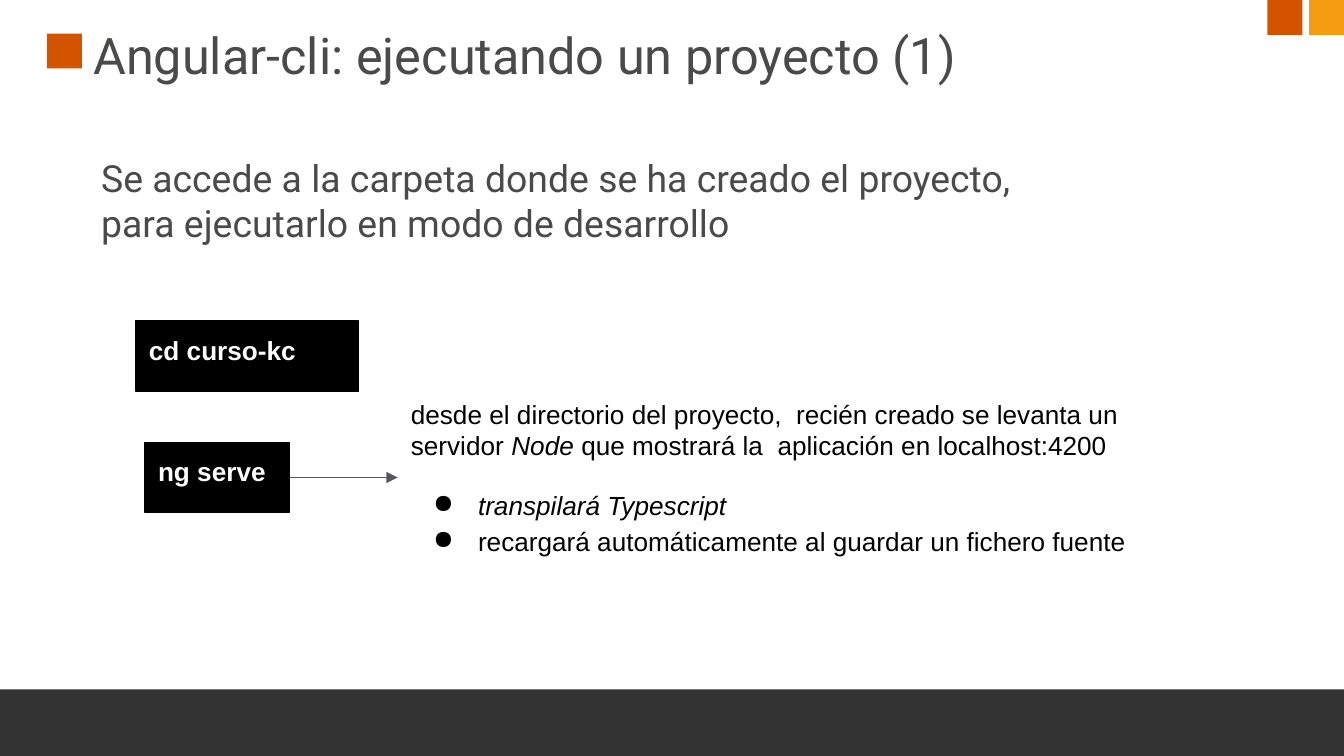
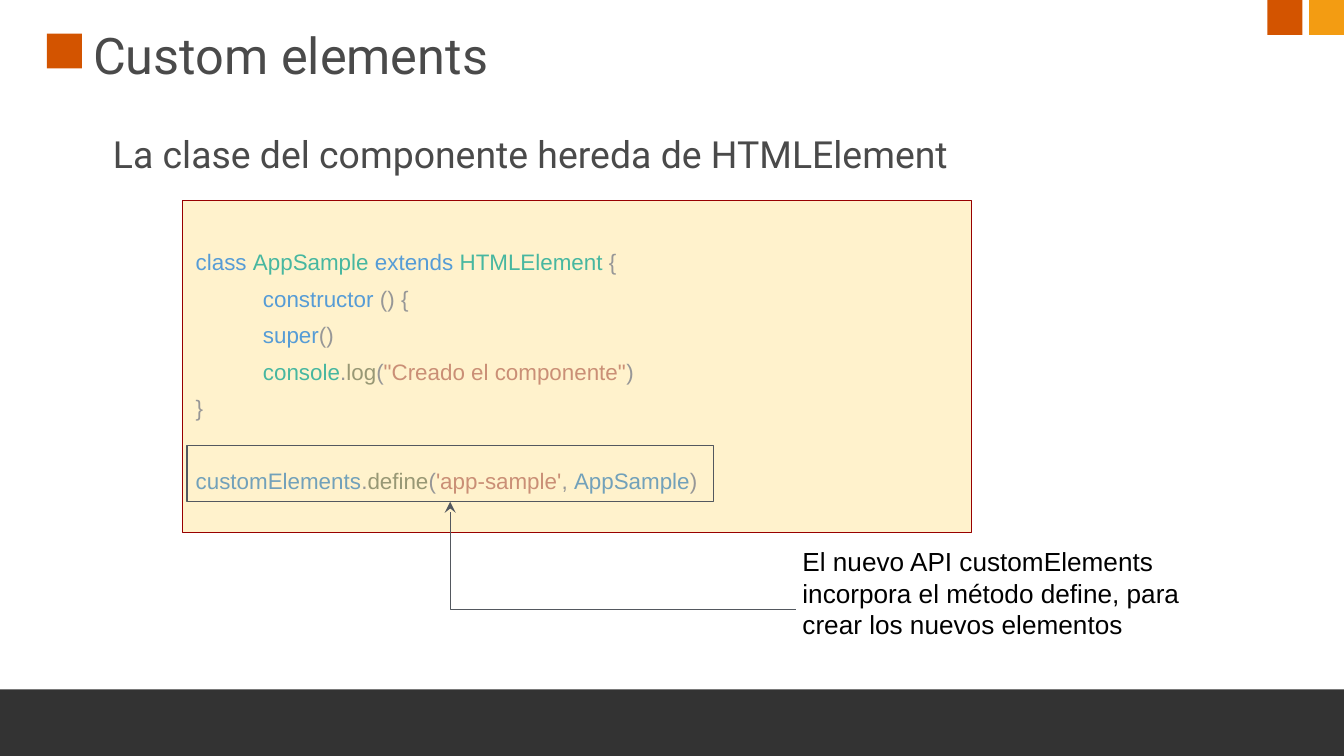
import dataclasses

import lxml.etree
import pptx
import pptx.dml.color
import pptx.enum.shapes
import pptx.enum.text
import pptx.oxml.ns
import pptx.util

Pt = pptx.util.Pt
ANCHOR = pptx.enum.text.MSO_ANCHOR
CONNECTOR = pptx.enum.shapes.MSO_CONNECTOR


@dataclasses.dataclass(frozen=True)
class Theme:
    width: float = 720
    height: float = 405
    heading_font: str = "Roboto"
    text_font: str = "Arial"
    title_size: float = 27
    lead_size: float = 20
    text_size: float = 14
    code_size: float = 12
    line_width: float = 0.75
    heading_inset: float = 4.5
    text_inset: float = 7.2
    square: float = 18.7
    footer_top: float = 369.4
    heading: str = "4A4A4A"
    orange: str = "D35400"
    amber: str = "F39C12"
    footer: str = "333333"
    black: str = "000000"
    white: str = "FFFFFF"
    outline: str = "53585F"
    code_fill: str = "FFF2CC"
    code_border: str = "980000"
    keyword: str = "569CD6"
    type_name: str = "47B7A0"
    symbol: str = "979797"
    method: str = "989875"
    string: str = "CA8F76"
    variable: str = "72A1BA"


THEME = Theme()


def color(value):
    return pptx.dml.color.RGBColor.from_string(value)


def add_xml(parent, tag, **attributes):
    return lxml.etree.SubElement(parent, pptx.oxml.ns.qn(tag), attributes)


def place(shape, left, top, width, height):
    shape.left, shape.top = Pt(left), Pt(top)
    shape.width, shape.height = Pt(width), Pt(height)


def prepare_frame(shape, inset, anchor=ANCHOR.TOP):
    frame = shape.text_frame
    frame.word_wrap = True
    frame.auto_size = pptx.enum.text.MSO_AUTO_SIZE.NONE
    frame.vertical_anchor = anchor
    frame.margin_left = frame.margin_right = Pt(inset)
    frame.margin_top = frame.margin_bottom = Pt(inset)
    return frame


def add_run(paragraph, text, size, value, font=THEME.text_font, bold=False, italic=False):
    run = paragraph.add_run()
    run.text = text
    run.font.name = font
    run.font.size = Pt(size)
    run.font.bold = bold
    run.font.italic = italic
    run.font.color.rgb = color(value)


def start_paragraph(frame, first=False, spacing=None, before=None, margin=0, indent=0):
    paragraph = frame.paragraphs[0] if first else frame.add_paragraph()
    paragraph.alignment = pptx.enum.text.PP_ALIGN.LEFT
    if spacing:
        paragraph.line_spacing = spacing
    if before:
        paragraph.space_before = Pt(before)
    properties = paragraph._p.get_or_add_pPr()
    properties.set("marL", str(Pt(margin)))
    properties.set("indent", str(Pt(indent)))
    return paragraph


def add_bullet(paragraph):
    properties = paragraph._p.get_or_add_pPr()
    add_xml(add_xml(properties, "a:buClr"), "a:srgbClr", val=THEME.black)
    add_xml(properties, "a:buChar", char="●")


def add_box(slide, left, top, width, height, fill=None, line=None):
    shape = slide.shapes.add_shape(
        pptx.enum.shapes.MSO_SHAPE.RECTANGLE, Pt(left), Pt(top), Pt(width), Pt(height))
    shape.shadow.inherit = False
    if fill:
        shape.fill.solid()
        shape.fill.fore_color.rgb = color(fill)
    else:
        shape.fill.background()
    if line:
        shape.line.color.rgb = color(line)
        shape.line.width = Pt(THEME.line_width)
    else:
        shape.line.fill.background()
    return shape


def add_text_box(slide, left, top, width, height):
    return slide.shapes.add_textbox(Pt(left), Pt(top), Pt(width), Pt(height))


def add_arrow(slide, kind, begin, end, head):
    connector = slide.shapes.add_connector(kind, *map(Pt, begin + end))
    connector.line.color.rgb = color(THEME.outline)
    connector.line.width = Pt(THEME.line_width)
    properties = connector.element.spPr
    add_xml(properties.find(pptx.oxml.ns.qn("a:ln")), "a:tailEnd", type=head)
    add_xml(properties, "a:effectLst")
    return connector


def add_corner_arrow(slide, left, top, right, bottom):
    connector = add_arrow(slide, CONNECTOR.ELBOW, (left, top), (right, bottom), "stealth")
    properties = connector.element.spPr
    properties.find(pptx.oxml.ns.qn("a:prstGeom")).set("prst", "bentConnector2")
    properties.find(pptx.oxml.ns.qn("a:xfrm")).set("rot", str(180 * 60000))


def add_slide(presentation, title):
    slide = presentation.slides.add_slide(presentation.slide_layouts[5])
    square = THEME.square
    add_box(slide, 25.2, 18, square, square, THEME.orange)
    add_box(slide, 0, THEME.footer_top, THEME.width, THEME.height - THEME.footer_top, THEME.footer)
    add_box(slide, 679, 0, square, square, THEME.orange)
    add_box(slide, THEME.width - square, 0, square, square, THEME.amber)
    place(slide.shapes.title, 45.4, 8.6, 662, 42.5)
    frame = prepare_frame(slide.shapes.title, THEME.heading_inset)
    add_run(start_paragraph(frame, first=True), title,
            THEME.title_size, THEME.heading, THEME.heading_font)
    return slide


def add_lead(slide, text, left, top, width, height):
    frame = prepare_frame(add_text_box(slide, left, top, width, height), THEME.heading_inset)
    add_run(start_paragraph(frame, first=True), text,
            THEME.lead_size, THEME.heading, THEME.heading_font)


def add_command(slide, text, left, top, width):
    shape = add_box(slide, left, top, width, 37.6, THEME.black, THEME.black)
    frame = prepare_frame(shape, THEME.text_inset)
    add_run(start_paragraph(frame, first=True), text,
            THEME.text_size, THEME.white, bold=True)
    return shape


def add_code(slide, lines, left, top, width, height):
    shape = add_box(slide, left, top, width, height, THEME.code_fill, THEME.code_border)
    frame = prepare_frame(shape, THEME.text_inset, ANCHOR.MIDDLE)
    for index, (margin, before, tokens) in enumerate(lines):
        paragraph = start_paragraph(frame, index == 0, 1.36, before, margin)
        for text, value in tokens:
            add_run(paragraph, text, THEME.code_size, value)


def build_serve_slide(presentation):
    slide = add_slide(presentation, "Angular-cli: ejecutando un proyecto (1)")
    add_lead(slide, "Se accede a la carpeta donde se ha creado el proyecto, "
             "para ejecutarlo en modo de desarrollo", 49.7, 78.5, 502, 66)
    add_command(slide, "cd curso-kc", 72.7, 172, 119.5)
    serve = add_command(slide, "ng serve", 77.6, 237, 77.6)

    explanation = add_text_box(slide, 213, 199.6, 417, 112.4)
    frame = prepare_frame(explanation, THEME.text_inset, ANCHOR.MIDDLE)
    paragraph = start_paragraph(frame, first=True)
    for text, italic in (
        ("desde el directorio del proyecto,  recién creado se levanta un servidor ", False),
        ("Node ", True),
        ("que mostrará la  aplicación en localhost:4200", False),
    ):
        add_run(paragraph, text, THEME.text_size, THEME.black, italic=italic)
    for text, italic, before in (
        ("transpilará Typescript", True, 12.7),
        ("recargará automáticamente al guardar un fichero fuente", False, None),
    ):
        paragraph = start_paragraph(frame, spacing=1.15, before=before, margin=36, indent=-24)
        add_bullet(paragraph)
        add_run(paragraph, text, THEME.text_size, THEME.black, italic=italic)

    arrow = add_arrow(slide, CONNECTOR.STRAIGHT, (155.2, 255.8), (213, 255.8), "triangle")
    arrow.begin_connect(serve, 3)
    arrow.end_connect(explanation, 1)


def build_elements_slide(presentation):
    slide = add_slide(presentation, "Custom elements")
    add_lead(slide, "La clase del componente hereda de HTMLElement", 56, 65.5, 507, 34.5)
    keyword, type_name, symbol = THEME.keyword, THEME.type_name, THEME.symbol
    method, string, variable = THEME.method, THEME.string, THEME.variable
    lines = (
        (0, None, (("class ", keyword), ("AppSample ", type_name), ("extends ", keyword),
                   ("HTMLElement", type_name), (" {", symbol))),
        (36, None, (("constructor", keyword), (" () {", symbol))),
        (36, None, (("super", keyword), ("()", symbol))),
        (36, None, (("console", type_name), (".", symbol), ("log", method), ("(", symbol),
                    ('"Creado el componente"', string), (")", symbol))),
        (0, None, (("}", symbol),)),
        (0, 19.4, (("customElements", variable), (".", symbol), ("define", method),
                   ("(", symbol), ("'app-sample'", string), (", ", symbol),
                   ("AppSample", variable), (")", symbol))),
    )
    add_code(slide, lines, 97.8, 107.4, 422.6, 177.8)
    note = add_text_box(slide, 422.8, 285.2, 240, 67)
    frame = prepare_frame(note, THEME.text_inset)
    add_run(start_paragraph(frame, first=True),
            "El nuevo API customElements incorpora el método define, "
            "para crear los nuevos elementos", THEME.text_size, THEME.black)
    add_corner_arrow(slide, 241.2, 268.8, 426.2, 326.4)
    add_box(slide, 100.1, 238.8, 282.2, 30, line=THEME.outline)


def main():
    presentation = pptx.Presentation()
    presentation.slide_width = Pt(THEME.width)
    presentation.slide_height = Pt(THEME.height)
    build_serve_slide(presentation)
    build_elements_slide(presentation)
    presentation.save("out.pptx")


if __name__ == "__main__":
    main()
